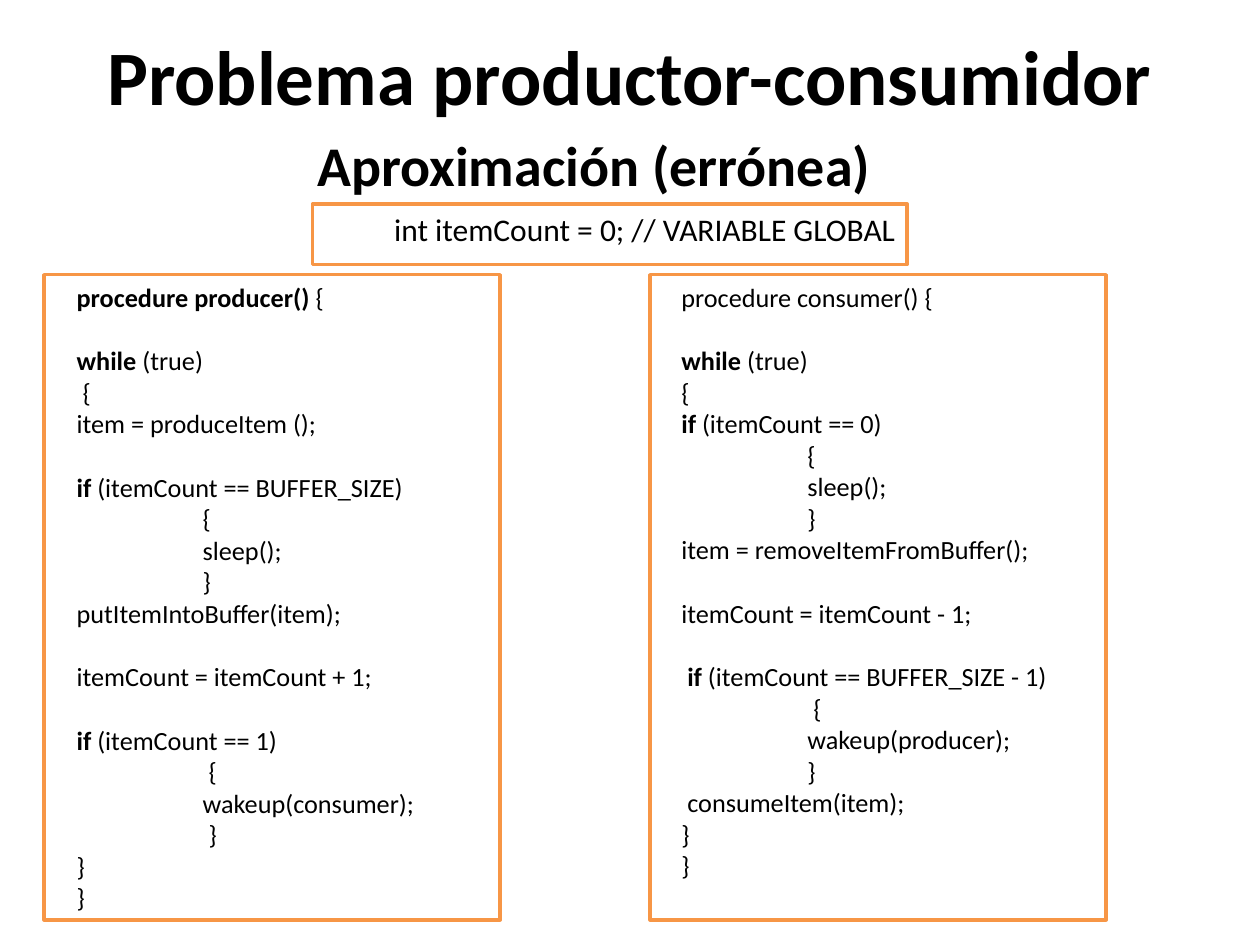
from pptx import Presentation
from pptx import util as u
from pptx.dml.color import RGBColor
from pptx.enum import shapes, text

COLORS = {"ink": "000000", "paper": "FFFFFF", "border": "F79646"}

PRODUCER = [
    "procedure producer() |{",
    "",
    "while| (true)",
    " {",
    "item = produceItem ();",
    "",
    "if| (itemCount == BUFFER_SIZE)",
    "\t{",
    "\tsleep();",
    "\t}",
    "putItemIntoBuffer(item);",
    "",
    "itemCount = itemCount + 1;",
    "",
    "if| (itemCount == 1)",
    "\t {",
    "\twakeup(consumer);",
    "\t }",
    "}",
    "}",
]

CONSUMER = [
    "procedure consumer() {",
    "",
    "while| (true)",
    "{",
    "if| (itemCount == 0)",
    "\t{",
    "\tsleep();",
    "\t}",
    "item = removeItemFromBuffer();",
    "",
    "itemCount = itemCount - 1;",
    "",
    " if| (itemCount == BUFFER_SIZE - 1)",
    "\t {",
    "\twakeup(producer);",
    "\t}",
    " consumeItem(item);",
    "}",
    "}",
]


class Deck:
    font = "Calibri"
    code_size = 15
    line_height = 18.3

    def __init__(self):
        self.presentation = Presentation()
        self.presentation.slide_width = u.Inches(10)
        self.presentation.slide_height = u.Inches(7.5)
        self.slide = self.presentation.slides.add_slide(self.presentation.slide_layouts[6])

    def color(self, name):
        return RGBColor.from_string(COLORS[name])

    def frame(self, *place):
        box = self.slide.shapes.add_shape(
            shapes.MSO_SHAPE.RECTANGLE, *map(u.Inches, place))
        box.shadow.inherit = False
        box.fill.solid()
        box.fill.fore_color.rgb = self.color("paper")
        box.line.color.rgb = self.color("border")
        box.line.width = u.Pt(2)

    def text_area(self, *place):
        area = self.slide.shapes.add_textbox(*map(u.Inches, place)).text_frame
        area.word_wrap = True
        return area

    def style(self, paragraph, size, bold=None):
        paragraph.font.name = self.font
        paragraph.font.size = u.Pt(size)
        paragraph.font.color.rgb = self.color("ink")
        paragraph.font.bold = bold

    def label(self, wording, place, size, bold=False,
              align=text.PP_ALIGN.LEFT, anchor=text.MSO_ANCHOR.TOP):
        area = self.text_area(*place)
        area.vertical_anchor = anchor
        line = area.paragraphs[0]
        line.text = wording
        line.alignment = align
        self.style(line, size, bold)

    def code(self, lines, *place):
        area = self.text_area(*place)
        paragraph = area.paragraphs[0]
        gap = 0
        for number, line in enumerate(lines):
            if not line:
                gap = self.line_height
                continue
            if number:
                paragraph = area.add_paragraph()
            self.style(paragraph, self.code_size)
            paragraph.space_before = u.Pt(gap)
            gap = 0
            if line.startswith("\t"):
                paragraph._p.get_or_add_pPr().set("marL", str(u.Inches(1)))
            keyword, mark, rest = line.lstrip("\t").partition("|")
            if mark:
                paragraph.add_run().text = keyword
                paragraph.runs[0].font.bold = True
                paragraph.add_run().text = rest
            else:
                paragraph.add_run().text = keyword


def main():
    deck = Deck()
    deck.frame(2.48, 1.62, 4.72, 0.48)
    for left in (5.16, 0.35):
        deck.frame(left, 2.18, 3.62, 5.12)
    deck.label("Problema productor-consumidor", (0.5, -0.03, 9, 1.25), 44, True,
               text.PP_ALIGN.CENTER, text.MSO_ANCHOR.MIDDLE)
    deck.label("Aproximación (errónea)", (2.42, 0.99, 4.79, 0.98), 32, True)
    deck.code(PRODUCER, 0.51, 2.18, 4.09, 5.15)
    deck.label("int itemCount = 0; // VARIABLE GLOBAL", (3.03, 1.62, 4.8, 0.4), 18)
    deck.code(CONSUMER, 5.31, 2.18, 3.23, 4.9)
    deck.presentation.save("out.pptx")


if __name__ == "__main__":
    main()
